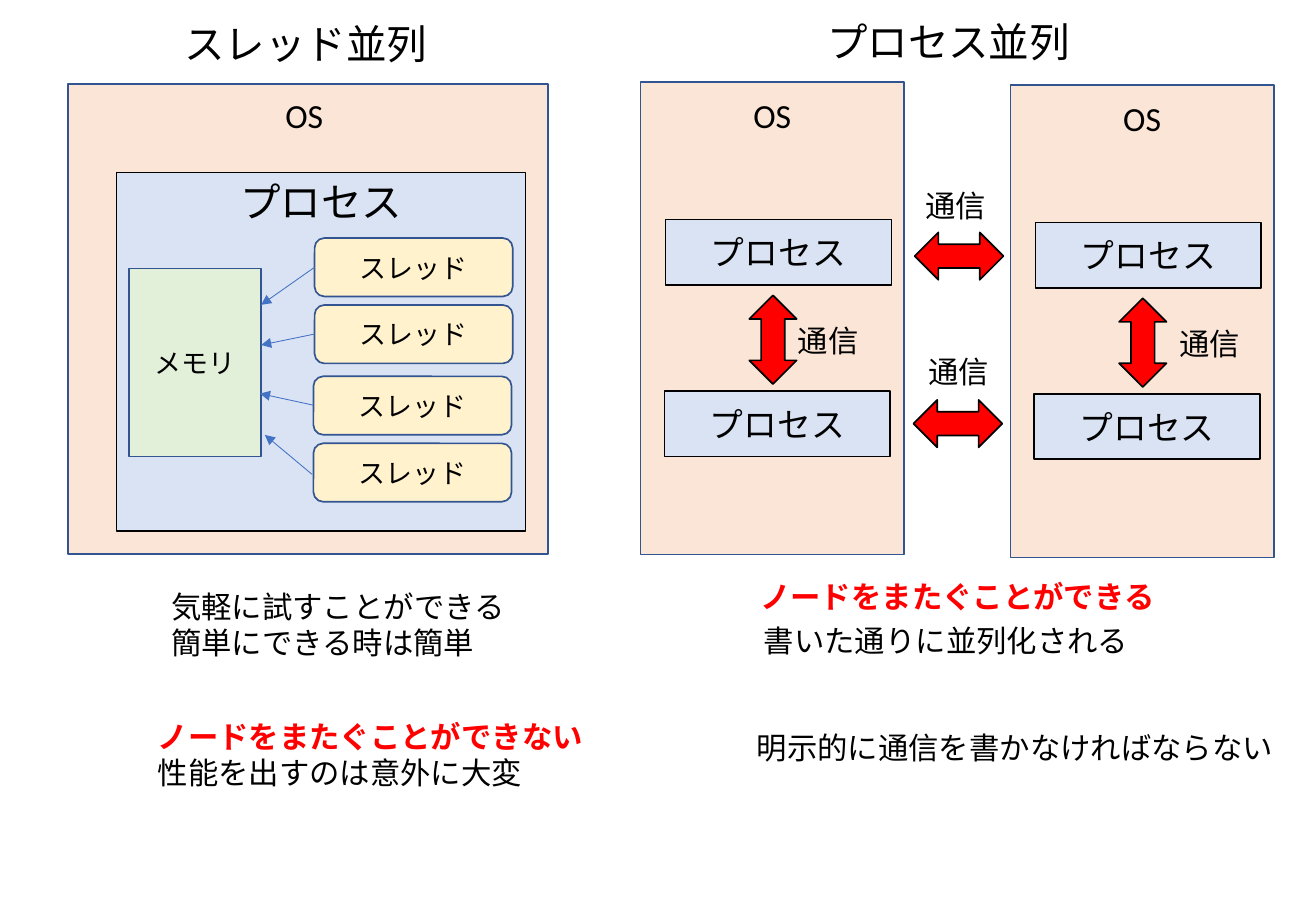
from dataclasses import dataclass

from lxml import etree
from pptx import Presentation
from pptx import util as u
from pptx.dml.color import RGBColor
from pptx.enum import shapes, text
from pptx.oxml.ns import qn

Kind = shapes.MSO_SHAPE


@dataclass(frozen=True)
class Theme:
    """Colours, font and type sizes of the slide."""
    font: str = "Calibri"
    ink: str = "000000"
    alert: str = "FF0000"
    system: str = "FBE5D6"
    process: str = "DAE3F3"
    thread: str = "FFF2CC"
    memory: str = "E2F0D9"
    outline: str = "325491"
    link: str = "4472C4"
    title: int = 24
    heading: int = 20
    body: int = 18
    small: int = 16


class Canvas:
    """Draws styled elements on one slide, with lengths in points."""

    def __init__(self, slide, theme):
        """Keep the slide and its theme."""
        self.slide = slide
        self.theme = theme
        self.shapes = slide.shapes

    def open_group(self):
        """Put the following elements into a new group."""
        self.shapes = self.slide.shapes.add_group_shape().shapes

    def close_group(self):
        """Put the following elements directly on the slide."""
        self.shapes = self.slide.shapes

    def fill_text(self, frame, lines, size, centred, alert_first=False):
        """Fill a text frame with one paragraph per line."""
        for index, line in enumerate(lines):
            paragraph = frame.paragraphs[0] if index == 0 else frame.add_paragraph()
            paragraph.text = line
            paragraph.alignment = text.PP_ALIGN.CENTER if centred else text.PP_ALIGN.LEFT
            alert = alert_first and index == 0
            font = paragraph.font
            font.name = self.theme.font
            font.size = u.Pt(size)
            font.bold = alert
            font.color.rgb = RGBColor.from_string(self.theme.alert if alert else self.theme.ink)

    def box(self, kind, bounds, fill, outline, label=None, size=None, rotation=0):
        """Draw a filled preset shape with an optional centred label."""
        shape = self.shapes.add_shape(kind, *map(u.Pt, bounds))
        shape.shadow.inherit = False
        shape.rotation = rotation
        shape.fill.solid()
        shape.fill.fore_color.rgb = RGBColor.from_string(fill)
        shape.line.color.rgb = RGBColor.from_string(outline)
        shape.line.width = u.Pt(1)
        if label:
            shape.text_frame.vertical_anchor = text.MSO_ANCHOR.MIDDLE
            self.fill_text(shape.text_frame, [label], size, True)

    def label(self, bounds, lines, size, centred=False, alert_first=False):
        """Add a text box; centred ones wrap within their width."""
        frame = self.shapes.add_textbox(*map(u.Pt, bounds)).text_frame
        frame.word_wrap = centred
        frame.auto_size = text.MSO_AUTO_SIZE.SHAPE_TO_FIT_TEXT
        self.fill_text(frame, lines, size, centred, alert_first)

    def arrow(self, *ends):
        """Draw a thin line with an arrowhead at its end."""
        connector = self.shapes.add_connector(shapes.MSO_CONNECTOR.STRAIGHT, *map(u.Pt, ends))
        connector.line.color.rgb = RGBColor.from_string(self.theme.link)
        connector.line.width = u.Pt(0.5)
        properties = connector._element.spPr
        etree.SubElement(properties.find(qn("a:ln")), qn("a:tailEnd"), type="triangle")
        etree.SubElement(properties, qn("a:effectLst"))

    def exchange(self, left, top, rotation=0):
        """Draw a red double arrow for communication."""
        self.box(Kind.UP_DOWN_ARROW, (left, top, 28.1, 52.6),
                 self.theme.alert, self.theme.ink, rotation=rotation)

    def node(self, left, top):
        """Draw an OS holding two processes that communicate."""
        theme = self.theme
        self.open_group()
        self.box(Kind.RECTANGLE, (left, top, 156.2, 280), theme.system, theme.outline)
        self.label((left, top + 4, 156.2, 31.7), ["OS"], theme.heading, centred=True)
        for inset, drop in ((14.8, 81.4), (14.1, 182.9)):
            self.box(Kind.RECTANGLE, (left + inset, top + drop, 133.9, 38.9),
                     theme.process, theme.ink, "プロセス", theme.heading)
        self.exchange(left + 64.4, top + 126.3)
        self.close_group()

    def thread_model(self):
        """Draw an OS with one process whose threads share memory."""
        theme = self.theme
        self.open_group()
        self.box(Kind.RECTANGLE, (40.3, 49.7, 284.4, 278.6), theme.system, theme.outline)
        self.box(Kind.RECTANGLE, (69, 102.3, 242.6, 212.4), theme.process, theme.ink)
        self.label((69.8, 101.5, 241.2, 36), ["プロセス"], theme.title, centred=True)
        for left, top in ((186.5, 141.1), (186.5, 180.8), (185.8, 223.1), (185.8, 262.8)):
            self.box(Kind.ROUNDED_RECTANGLE, (left, top, 117.4, 34.6),
                     theme.thread, theme.outline, "スレッド", theme.small)
        self.box(Kind.RECTANGLE, (76.3, 159.1, 78.5, 111.6),
                 theme.memory, theme.outline, "メモリ", theme.small)
        for ends in ((186.5, 158.4, 154.8, 180.7), (186.5, 198, 154.8, 204.5),
                     (185.8, 240.2, 154.1, 233.3), (185, 281.2, 157, 257.8)):
            self.arrow(*ends)
        self.label((38.9, 52.6, 283, 31.7), ["OS"], theme.heading, centred=True)
        self.close_group()


def main():
    """Build the slide and save it."""
    presentation = Presentation()
    presentation.slide_width = u.Pt(780)
    presentation.slide_height = u.Pt(540)
    slide = presentation.slides.add_slide(presentation.slide_layouts[6])
    theme = Theme()
    canvas = Canvas(slide, theme)

    canvas.thread_model()
    canvas.label((102.2, 8, 159.8, 36), ["スレッド並列"], theme.title)
    canvas.label((94.3, 345, 214.6, 51), ["気軽に試すことができる", "簡単にできる時は簡単"], theme.body)
    canvas.label((86.4, 422, 269.3, 51),
                 ["ノードをまたぐことができない", "性能を出すのは意外に大変"], theme.body, alert_first=True)

    canvas.label((483.1, 6.5, 159.8, 36), ["プロセス並列"], theme.title)
    for left, top in ((379.7, 48.8), (598.9, 50.5)):
        canvas.node(left, top)
    for left, top in ((554.4, 125.5), (553.7, 224.8)):
        canvas.exchange(left, top, rotation=90)
    for left, top in ((465.8, 187.2), (692, 189.4), (541.4, 107.3), (543, 205.9)):
        canvas.label((left, top, 51, 29), ["通信"], theme.body)
    canvas.label((443.5, 339, 250.6, 29), ["ノードをまたぐことができる"], theme.body, alert_first=True)
    canvas.label((445.7, 365, 232.6, 29), ["書いた通りに並列化される"], theme.body)
    canvas.label((441.4, 428.4, 323.3, 29), ["明示的に通信を書かなければならない"], theme.body)

    presentation.save("out.pptx")


if __name__ == "__main__":
    main()
